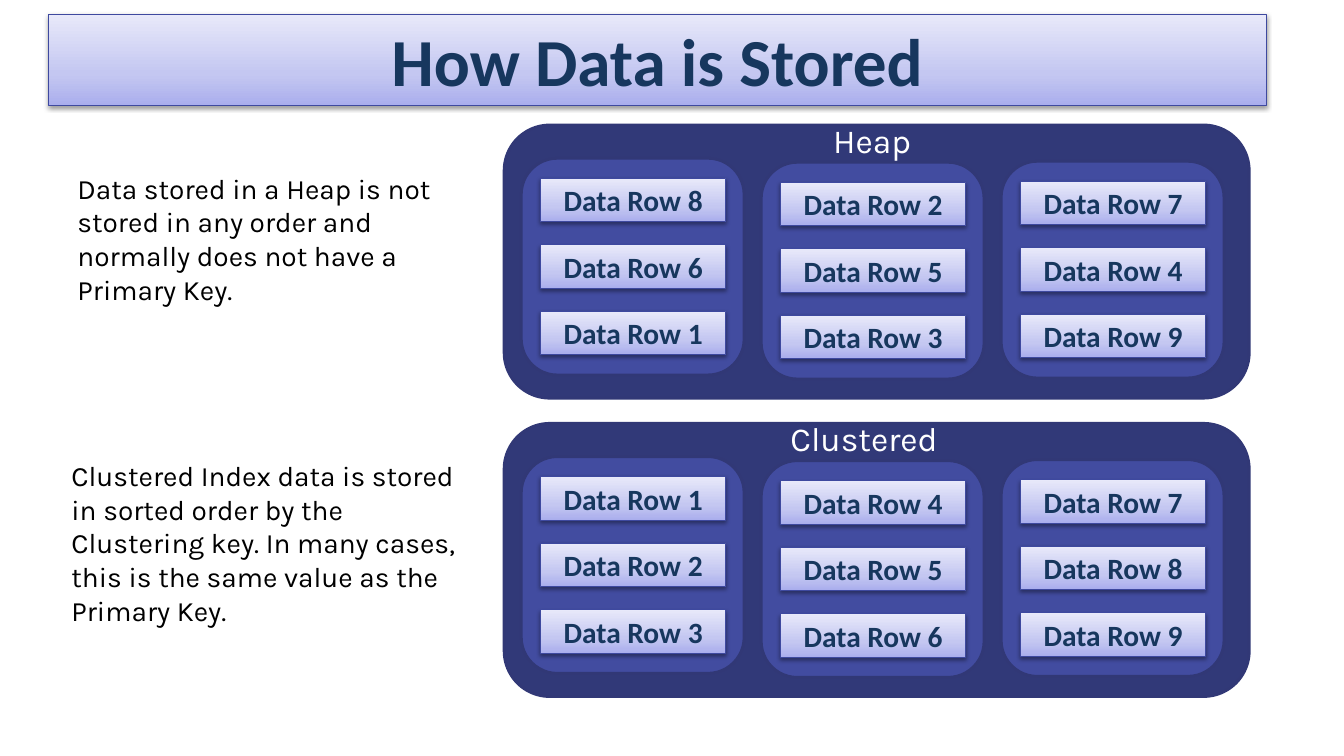
from lxml import etree
from pptx import Presentation
from pptx.dml.color import RGBColor
from pptx.enum.shapes import MSO_SHAPE
from pptx.enum.text import MSO_ANCHOR, MSO_AUTO_SIZE, PP_ALIGN
from pptx.util import Inches, Pt

RECT, ROUNDED = MSO_SHAPE.RECTANGLE, MSO_SHAPE.ROUNDED_RECTANGLE
TOP, MIDDLE = MSO_ANCHOR.TOP, MSO_ANCHOR.MIDDLE
LEFT, CENTER = PP_ALIGN.LEFT, PP_ALIGN.CENTER
NO_AUTOFIT = MSO_AUTO_SIZE.NONE

NAVY = RGBColor(0x31, 0x39, 0x78)
OUTLINE = RGBColor(0x31, 0x38, 0x76)
INDIGO = RGBColor(0x42, 0x4C, 0xA0)
BAR_LINE = RGBColor(0x3E, 0x49, 0x9F)
INK = RGBColor(0x17, 0x37, 0x5E)
WHITE = RGBColor(0xFF, 0xFF, 0xFF)
BLACK = RGBColor(0x00, 0x00, 0x00)

DRAWING = "http://schemas.openxmlformats.org/drawingml/2006/main"
GRADIENT = f"""<a:gradFill xmlns:a="{DRAWING}" rotWithShape="1"><a:gsLst>
<a:gs pos="0"><a:srgbClr val="AAAEED"/></a:gs>
<a:gs pos="35000"><a:srgbClr val="C4C7F1"/></a:gs>
<a:gs pos="100000"><a:srgbClr val="E8E9FA"/></a:gs>
</a:gsLst><a:lin ang="16200000" scaled="1"/></a:gradFill>"""
SHADOW = f"""<a:effectLst xmlns:a="{DRAWING}">
<a:outerShdw blurRad="40000" dist="20000" dir="5400000" rotWithShape="0">
<a:srgbClr val="000000"><a:alpha val="38000"/></a:srgbClr></a:outerShdw></a:effectLst>"""

TITLE_FONT = {"name": "Calibri", "size": Pt(48), "bold": True}
ROW_FONT = {"name": "Calibri", "size": Pt(21), "bold": True}
LABEL_FONT = {"name": "Karla", "size": Pt(24)}
NOTE_FONT = {"name": "Karla", "size": Pt(20)}
ROW_FRAME = {"vertical_anchor": TOP, "auto_size": NO_AUTOFIT, "word_wrap": True,
             "margin_left": Inches(0.07), "margin_right": Inches(0.07),
             "margin_top": Inches(0.04), "margin_bottom": Inches(0.04)}
TITLE_FRAME = {"vertical_anchor": MIDDLE, "auto_size": NO_AUTOFIT}
TEXT_FRAME = {"word_wrap": True}


def write(box, text, font, color, align, frame_format):
    frame = box.text_frame
    for name, value in frame_format.items():
        setattr(frame, name, value)
    para = frame.paragraphs[0]
    para.alignment = align
    span = para.add_run()
    span.text = text
    for name, value in font.items():
        setattr(span.font, name, value)
    span.font.color.rgb = color


def style_bar(bar):
    """Give a bar the pale gradient, thin outline and soft shadow."""
    properties = bar._element.spPr
    properties.append(etree.fromstring(GRADIENT))
    bar.line.color.rgb = BAR_LINE
    bar.line.width = Pt(0.75)
    properties.append(etree.fromstring(SHADOW))


deck = Presentation()
deck.slide_width, deck.slide_height = Inches(13.33), Inches(7.5)
page = deck.slides.add_slide(deck.slide_layouts[5])

title = page.shapes.title
title.left, title.top = Inches(0.48), Inches(0.14)
title.width, title.height = Inches(12.08), Inches(0.91)
style_bar(title)
write(title, "How Data is Stored", TITLE_FONT, INK, CENTER, TITLE_FRAME)

# Each store: top, label, label left, row numbers by page, note, note box
STORES = [
    (1.24, "Heap", 7.37, [(8, 6, 1), (2, 5, 3), (7, 4, 9)],
     "Data stored in a Heap is not stored in any order and normally "
     "does not have a Primary Key.", (0.67, 1.65, 4.06, 1.45)),
    (4.2, "Clustered", 7.29, [(1, 2, 3), (4, 5, 6), (7, 8, 9)],
     "Clustered Index data is stored in sorted order by the Clustering key. "
     "In many cases, this is the same value as the Primary Key.",
     (0.61, 4.5, 4.06, 1.78)),
]
PANEL_LEFT, PANEL_STEP, PANEL_DROPS = 5.17, 2.38, (0.33, 0.37, 0.36)
ROW_STEP = 0.66

for store_top, label, label_left, pages, note, note_box in STORES:
    panels = [(5, store_top, 7.39, 2.71, NAVY)]
    for column, drop in enumerate(PANEL_DROPS):
        panels.append((PANEL_LEFT + column * PANEL_STEP, store_top + drop,
                       2.21, 2.15, INDIGO))

    for index, (left, top, width, height, color) in enumerate(panels):
        panel = page.shapes.add_shape(ROUNDED, Inches(left), Inches(top),
                                      Inches(width), Inches(height))
        panel.shadow.inherit = False
        panel.fill.solid()
        panel.fill.fore_color.rgb = color
        panel.line.color.rgb = OUTLINE
        panel.line.width = Pt(2)

        if index == 0:
            box = page.shapes.add_textbox(Inches(label_left), Inches(store_top - 0.1),
                                          Inches(2.56), Inches(0.5))
            write(box, label, LABEL_FONT, WHITE, CENTER, TEXT_FRAME)
            continue

        for line, number in enumerate(pages[index - 1]):
            row = page.shapes.add_shape(RECT, Inches(left + 0.19),
                                        Inches(top + 0.2 + line * ROW_STEP),
                                        Inches(1.84), Inches(0.43))
            style_bar(row)
            write(row, f"Data Row {number}", ROW_FONT, INK, CENTER, ROW_FRAME)

    box = page.shapes.add_textbox(*map(Inches, note_box))
    write(box, note, NOTE_FONT, BLACK, LEFT, TEXT_FRAME)

deck.save("out.pptx")
